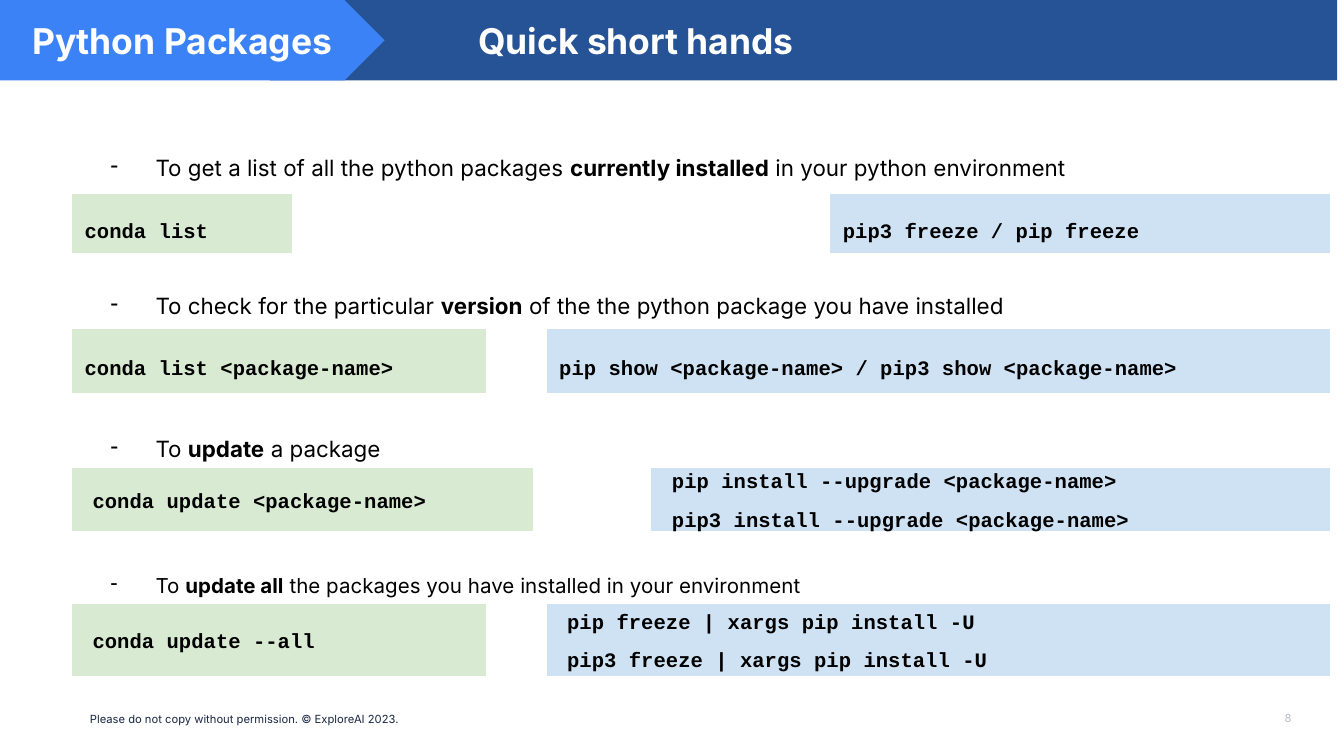
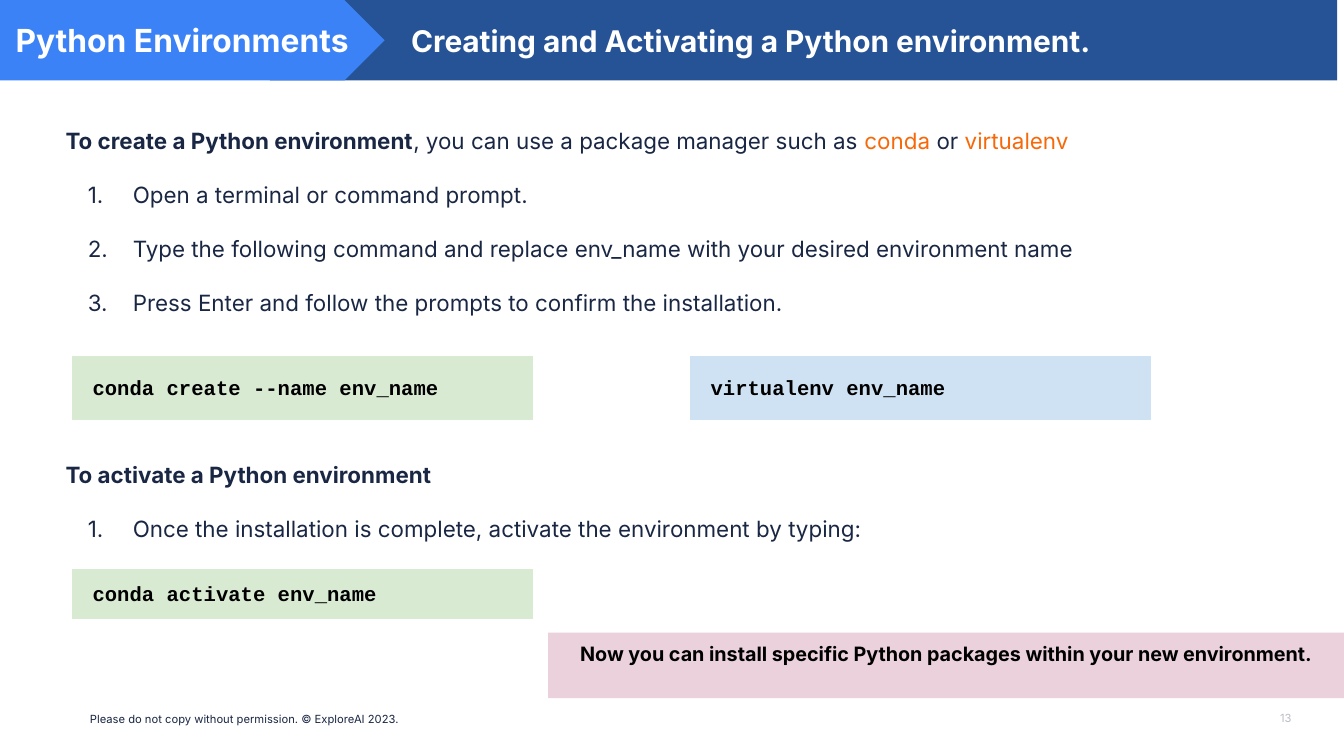
"""Build two slides on Python packages and environments."""
from dataclasses import dataclass

from lxml import etree
from pptx import Presentation
from pptx import util as u
from pptx.dml.color import RGBColor
from pptx.enum import shapes, text
from pptx.oxml.ns import qn


@dataclass(frozen=True)
class Theme:
    """Colours, fonts and type sizes of the deck."""
    navy: str = "265396"
    blue: str = "3B82F6"
    conda: str = "D9EAD3"
    pip: str = "CFE2F3"
    pink: str = "EAD1DC"
    ink: str = "1A2744"
    orange: str = "F76808"
    grey: str = "BABEC7"
    black: str = "000000"
    white: str = "FFFFFF"
    sans: str = "Inter"
    mono: str = "Courier New"
    title: float = 19
    long_tag: float = 17
    long_title: float = 16
    body: float = 12
    code: float = 11
    note: float = 10.6
    footer: float = 6


@dataclass(frozen=True)
class Box:
    """A rectangle in centimetres."""
    left: float
    top: float
    width: float
    height: float

    def inner(self, left, top, width, height):
        """Return a box placed relative to this one."""
        return Box(self.left + left, self.top + top, width, height)

    def lengths(self):
        """Return left, top, width and height as lengths."""
        return [u.Cm(value) for value in (self.left, self.top, self.width, self.height)]


THEME = Theme()
BAND = Box(0, 0, 25.27, 1.52)
FOOTER = Box(1.5, 13.03, 23.16, 1.09)
PROMPT_HEIGHT = 1.02
LINE_GAP = 14.5


def set_frame(shape, insets=(0.25, 0.25, 0.25, 0.25), anchor=text.MSO_ANCHOR.MIDDLE):
    """Prepare the text frame of a shape; insets are left, top, right, bottom."""
    frame = shape.text_frame
    frame.word_wrap = True
    frame.auto_size = text.MSO_AUTO_SIZE.NONE
    frame.vertical_anchor = anchor
    sides = ("margin_left", "margin_top", "margin_right", "margin_bottom")
    for side, inset in zip(sides, insets):
        setattr(frame, side, u.Cm(inset))
    return frame


def add_panel(page, box, fill, line=None, kind=shapes.MSO_SHAPE.RECTANGLE):
    """Add a filled shape without shadow."""
    panel = page.shapes.add_shape(kind, *box.lengths())
    panel.shadow.inherit = False
    panel.fill.solid()
    panel.fill.fore_color.rgb = RGBColor.from_string(fill)
    if line:
        panel.line.color.rgb = RGBColor.from_string(line)
        panel.line.width = u.Pt(0.75)
    else:
        panel.line.fill.background()
    return panel


def set_indent(para, left, first=0):
    """Set the left margin and first-line indent in centimetres."""
    properties = para._p.get_or_add_pPr()
    properties.set("marL", str(u.Cm(left)))
    properties.set("indent", str(u.Cm(first)))


def set_bullet(para, colour, tag, **attributes):
    """Give a paragraph a hanging bullet or number."""
    set_indent(para, 1.27, -0.85)
    properties = para._p.get_or_add_pPr()
    tint = etree.SubElement(properties, qn("a:buClr"))
    etree.SubElement(tint, qn("a:srgbClr"), val=colour)
    etree.SubElement(properties, qn(tag), **attributes)


def write(para, spans, size, colour, bold=None, face=THEME.sans, align=text.PP_ALIGN.LEFT):
    """Fill a paragraph with spans of (text, bold, colour) or one string."""
    para.alignment = align
    font = para.font
    font.name, font.size = face, u.Pt(size)
    if isinstance(spans, str):
        spans = [(spans, None, None)]
        font.bold = bold
        font.color.rgb = RGBColor.from_string(colour)
    for words, strong, tint in spans:
        span = para.add_run()
        span.text = words
        if strong is not None:
            span.font.bold = strong
            span.font.color.rgb = RGBColor.from_string(tint or colour)


def add_band(page, box, tag, title, tag_size, title_size, title_indent):
    """Add the title band with its arrow-shaped topic tag."""
    bar = add_panel(page, box.inner(5.1, 0, box.width - 5.1, box.height), THEME.navy)
    para = set_frame(bar, (1.4, 0.08, 0.08, 0.08)).paragraphs[0]
    set_indent(para, title_indent)
    write(para, title, title_size, THEME.white, True)
    arrow = add_panel(page, box.inner(0, 0, 7.27, box.height), THEME.blue,
                      kind=shapes.MSO_SHAPE.PENTAGON)
    write(set_frame(arrow, (0.2,) * 4).paragraphs[0], tag, tag_size, THEME.white, True,
          align=text.PP_ALIGN.CENTER)


def add_footer(page, box, number):
    """Add the copyright line and the page number."""
    notice = page.shapes.add_textbox(*box.inner(0, 0.43, 7.29, 0.25).lengths())
    write(set_frame(notice, (0.2, 0, 0, 0)).paragraphs[0],
          "Please do not copy without permission. © ExploreAI 2023.", THEME.footer, THEME.ink)
    folio = page.shapes.add_textbox(*box.inner(box.width - 1.52, 0, 1.52, box.height).lengths())
    write(set_frame(folio).paragraphs[0], str(number), THEME.footer, THEME.grey,
          align=text.PP_ALIGN.RIGHT)


def add_code(page, box, fill, lines, indented=True):
    """Add a code panel, either indented or set low with wide leading."""
    panel = add_panel(page, box, fill, THEME.white)
    frame = set_frame(panel, (0.25, 0, 0.25, 0))
    for index, line in enumerate(lines):
        para = frame.add_paragraph() if index else frame.paragraphs[0]
        if indented:
            set_indent(para, 0.15)
        else:
            para.line_spacing = 1.5
        if index:
            para.space_before = u.Pt(7.4)
        write(para, line, THEME.code, THEME.black, True, THEME.mono)


def add_command(page, box, prompt_width, prompt, size, code, widths, commands, indented):
    """Add a dashed prompt above its conda and pip panels."""
    label = page.shapes.add_textbox(*box.inner(0.07, 0, prompt_width, PROMPT_HEIGHT).lengths())
    para = set_frame(label, anchor=text.MSO_ANCHOR.TOP).paragraphs[0]
    set_bullet(para, THEME.black, "a:buChar", char="-")
    before, strong, after = prompt
    write(para, [(before, False, None), (strong, True, None), (after, False, None)],
          size, THEME.black)
    top, height = code
    lefts = (0, box.width - widths[1])
    for left, width, fill, lines in zip(lefts, widths, (THEME.conda, THEME.pip), commands):
        add_code(page, box.inner(left, top, width, height), fill, lines, indented)


def add_steps(page, box, heading, steps):
    """Add a heading followed by numbered steps."""
    body = page.shapes.add_textbox(*box.lengths())
    frame = set_frame(body, anchor=text.MSO_ANCHOR.TOP)
    write(frame.paragraphs[0], heading, THEME.body, THEME.ink)
    for step in steps:
        para = frame.add_paragraph()
        set_bullet(para, THEME.ink, "a:buAutoNum", type="arabicPeriod")
        para.space_before = u.Pt(LINE_GAP)
        write(para, step, THEME.body, THEME.ink)


def add_note(page, box, words):
    """Add the closing remark on a pink panel."""
    panel = add_panel(page, box, THEME.pink)
    para = set_frame(panel, anchor=text.MSO_ANCHOR.TOP).paragraphs[0]
    para.line_spacing = 0.8
    write(para, words, THEME.note, THEME.black, True, align=text.PP_ALIGN.CENTER)


def build_packages(page, box):
    """Fill the slide of package commands."""
    add_band(page, BAND, "Python Packages", "Quick short hands", THEME.title, THEME.title, 2.54)
    commands = [
        (0, 19.35, ("To get a list of all the python packages ", "currently installed",
                    " in your python environment"), THEME.body, (0.99, 1.14), (4.19, 9.47),
         (["conda list"], ["pip3 freeze / pip freeze"]), False),
        (2.61, 20.24, ("To check for the particular ", "version",
                       " of the the python package you have installed"),
         THEME.body, (0.92, 1.24), (7.85, 14.83),
         (["conda list <package-name>"],
          ["pip show <package-name> / pip3 show <package-name>"]), False),
        (5.31, 12.47, ("To ", "update", " a package"), THEME.body, (0.86, 1.22), (8.74, 12.85),
         (["conda update <package-name>"],
          ["pip install --upgrade <package-name>",
           "pip3 install --upgrade <package-name>"]), True),
        (7.92, 21.62, ("To ", "update all",
                       " the packages you have installed in your environment"),
         THEME.code, (0.81, 1.4), (7.85, 14.83),
         (["conda update --all"],
          ["pip freeze | xargs pip install -U", "pip3 freeze | xargs pip install -U"]), True),
    ]
    for top, *details in commands:
        add_command(page, box.inner(0, top, box.width, 2.2), *details)
    add_footer(page, FOOTER, 8)


def build_environments(page, box):
    """Fill the slide on creating and activating an environment."""
    add_steps(page, box.inner(0, 0, 22.4, 5.99),
              [("To create a Python environment", True, None),
               (", you can use a package manager such as ", False, None),
               ("conda", False, THEME.orange), (" or ", False, None),
               ("virtualenv", False, THEME.orange)],
              ["Open a terminal or command prompt.",
               "Type the following command and replace env_name with your desired "
               "environment name",
               "Press Enter and follow the prompts to confirm the installation."])
    add_band(page, BAND, "Python Environments", "Creating and Activating a Python environment.",
             THEME.long_tag, THEME.long_title, 1.27)
    add_steps(page, box.inner(0, 6.3, 22.4, 5.56),
              [("To activate a Python environment", True, None)],
              ["Once the installation is complete, activate the environment by typing:"])
    for left, top, height, fill, line in [
            (0.36, 4.55, 1.24, THEME.conda, "conda create --name env_name"),
            (12.04, 4.55, 1.24, THEME.pip, "virtualenv env_name"),
            (0.36, 8.58, 0.97, THEME.conda, "conda activate env_name")]:
        add_code(page, box.inner(left, top, 8.74, height), fill, [line])
    add_note(page, box.inner(9.37, 9.8, 15.04, 1.24),
             "Now you can install specific Python packages within your new environment.")
    add_footer(page, FOOTER, 13)


def main():
    """Build and save the deck."""
    deck = Presentation()
    deck.slide_width, deck.slide_height = u.Cm(25.4), u.Cm(14.29)
    blank = deck.slide_layouts[6]
    build_packages(deck.slides.add_slide(blank), Box(1.35, 2.67, 23.8, 10.13))
    build_environments(deck.slides.add_slide(blank), Box(0.99, 2.16, 24.41, 11.86))
    deck.save("out.pptx")


if __name__ == "__main__":
    main()
